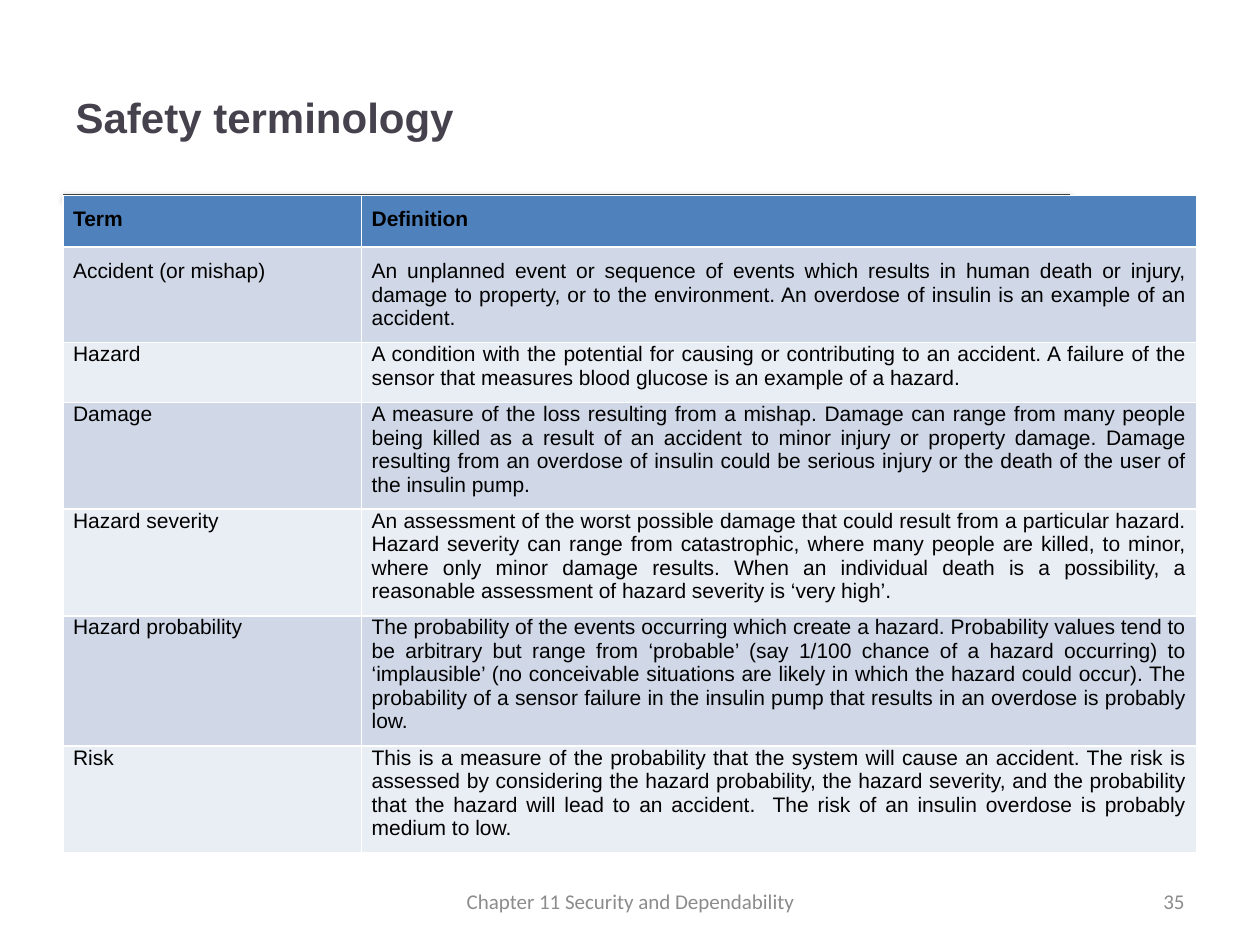
from lxml import etree
from pptx import Presentation
from pptx.dml.color import RGBColor
from pptx.enum.shapes import MSO_CONNECTOR
from pptx.enum.text import MSO_ANCHOR, PP_ALIGN
from pptx.oxml import parse_xml
from pptx.oxml.ns import nsdecls, qn
from pptx.util import Pt

PX = 9144  # 100 px to the inch
LEFT, CENTER, RIGHT, JUSTIFY = PP_ALIGN.LEFT, PP_ALIGN.CENTER, PP_ALIGN.RIGHT, PP_ALIGN.JUSTIFY
MIDDLE = MSO_ANCHOR.MIDDLE
STRAIGHT = MSO_CONNECTOR.STRAIGHT

COLORS = {
    "title": "46424D", "rule": "404040", "head": "000000", "text": "000000",
    "foot": "8C8C8C", "blue": "4F81BD", "dark": "D0D8E8", "light": "E9EDF4",
    "grid": "FFFFFF", "shadow": "000000",
}
FONTS = {
    "title": {"name": "Arial", "size": Pt(24), "bold": True},
    "head": {"name": "Arial", "size": Pt(12), "bold": True},
    "text": {"name": "Arial", "size": Pt(12), "bold": False},
    "foot": {"name": "Calibri", "size": Pt(12), "bold": False},
}
TERMS = [
    ("Term", "Definition"),
    ("Accident (or mishap)",
     "An unplanned event or sequence of events which results in human death or injury, "
     "damage to property, or to the environment. An overdose of insulin is an example of "
     "an accident."),
    ("Hazard",
     "A condition with the potential for causing or contributing to an accident. A failure "
     "of the sensor that measures blood glucose is an example of a hazard."),
    ("Damage",
     "A measure of the loss resulting from a mishap. Damage can range from many people "
     "being killed as a result of an accident to minor injury or property damage. Damage "
     "resulting from an overdose of insulin could be serious injury or the death of the "
     "user of the insulin pump."),
    ("Hazard severity",
     "An assessment of the worst possible damage that could result from a particular "
     "hazard. Hazard severity can range from catastrophic, where many people are killed, "
     "to minor, where only minor damage results. When an individual death is a "
     "possibility, a reasonable assessment of hazard severity is ‘very high’."),
    ("Hazard probability",
     "The probability of the events occurring which create a hazard. Probability values "
     "tend to be arbitrary but range from ‘probable’ (say 1/100 chance of a hazard "
     "occurring) to ‘implausible’ (no conceivable situations are likely in which the "
     "hazard could occur). The probability of a sensor failure in the insulin pump that "
     "results in an overdose is probably low."),
    ("Risk",
     "This is a measure of the probability that the system will cause an accident. The "
     "risk is assessed by considering the hazard probability, the hazard severity, and "
     "the probability that the hazard will lead to an accident.  The risk of an insulin "
     "overdose is probably medium to low."),
]


def rgb(key):
    return RGBColor.from_string(COLORS[key])


def emu(*lengths):
    return [n * PX for n in lengths]


def write(frame, text, style, align):
    frame.word_wrap = True
    par = frame.paragraphs[0]
    par.alignment = align
    run = par.add_run()
    run.text = text
    for name, value in FONTS[style].items():
        setattr(run.font, name, value)
    run.font.color.rgb = rgb(style)


def add_title(slide, box, text):
    """Fill the title and draw the shadowed rule along its lower edge."""
    x, y, w, h = box
    title = slide.shapes.title
    title.left, title.top, title.width, title.height = emu(*box)
    title.text_frame.vertical_anchor = MIDDLE
    write(title.text_frame, text, "title", LEFT)
    rule = slide.shapes.add_connector(STRAIGHT, *emu(x, y + h, x + w, y + h))
    rule.line.color.rgb = rgb("rule")
    rule.line.width = Pt(2)
    effects = etree.SubElement(rule.element.spPr, qn("a:effectLst"))
    effects.append(parse_xml(
        f'<a:outerShdw {nsdecls("a")} blurRad="{Pt(3.1)}" dist="{Pt(1.6)}" dir="5400000">'
        f'<a:srgbClr val="{COLORS["shadow"]}"><a:alpha val="38000"/></a:srgbClr>'
        '</a:outerShdw>'))


def add_edges(cell):
    props = cell._tc.get_or_add_tcPr()
    for side in "LRTB":
        props.append(parse_xml(
            f'<a:ln{side} {nsdecls("a")} w="{Pt(1)}"><a:solidFill>'
            f'<a:srgbClr val="{COLORS["grid"]}"/></a:solidFill></a:ln{side}>'))


def add_terms(slide, box, widths):
    """Lay out the terms; rows grow from the given height to fit their text."""
    x, y, w, row_h = box
    count = len(TERMS)
    table = slide.shapes.add_table(count, 2, *emu(x, y, w, row_h * count)).table
    for col, width in zip(table.columns, widths):
        col.width = width * PX
    for r, terms in enumerate(TERMS):
        table.rows[r].height = row_h * PX
        fill = "blue" if r == 0 else "dark" if r % 2 else "light"
        pads = {
            "margin_left": 8, "margin_right": 8,
            "margin_top": 10 if r < 2 else 0, "margin_bottom": 10 if r else 0,
        }
        for c, text in enumerate(terms):
            cell = table.cell(r, c)
            for name, value in pads.items():
                setattr(cell, name, value * PX)
            add_edges(cell)
            cell.fill.solid()
            cell.fill.fore_color.rgb = rgb(fill)
            align = LEFT if (r, c) == (1, 0) else JUSTIFY
            write(cell.text_frame, text, "text" if r else "head", align)


def add_note(slide, box, text, align):
    frame = slide.shapes.add_textbox(*emu(*box)).text_frame
    frame.vertical_anchor = MIDDLE
    write(frame, text, "foot", align)


def main():
    deck = Presentation()
    deck.slide_width, deck.slide_height = emu(1000, 750)
    slide = deck.slides.add_slide(deck.slide_layouts[5])
    add_title(slide, (50, 30, 799, 125), "Safety terminology")
    add_terms(slide, (50, 155, 900, 41), (237, 663))
    add_note(slide, (717, 695, 233, 40), "35", RIGHT)
    add_note(slide, (342, 695, 317, 40), "Chapter 11 Security and Dependability", CENTER)
    deck.save("out.pptx")


if __name__ == "__main__":
    main()
